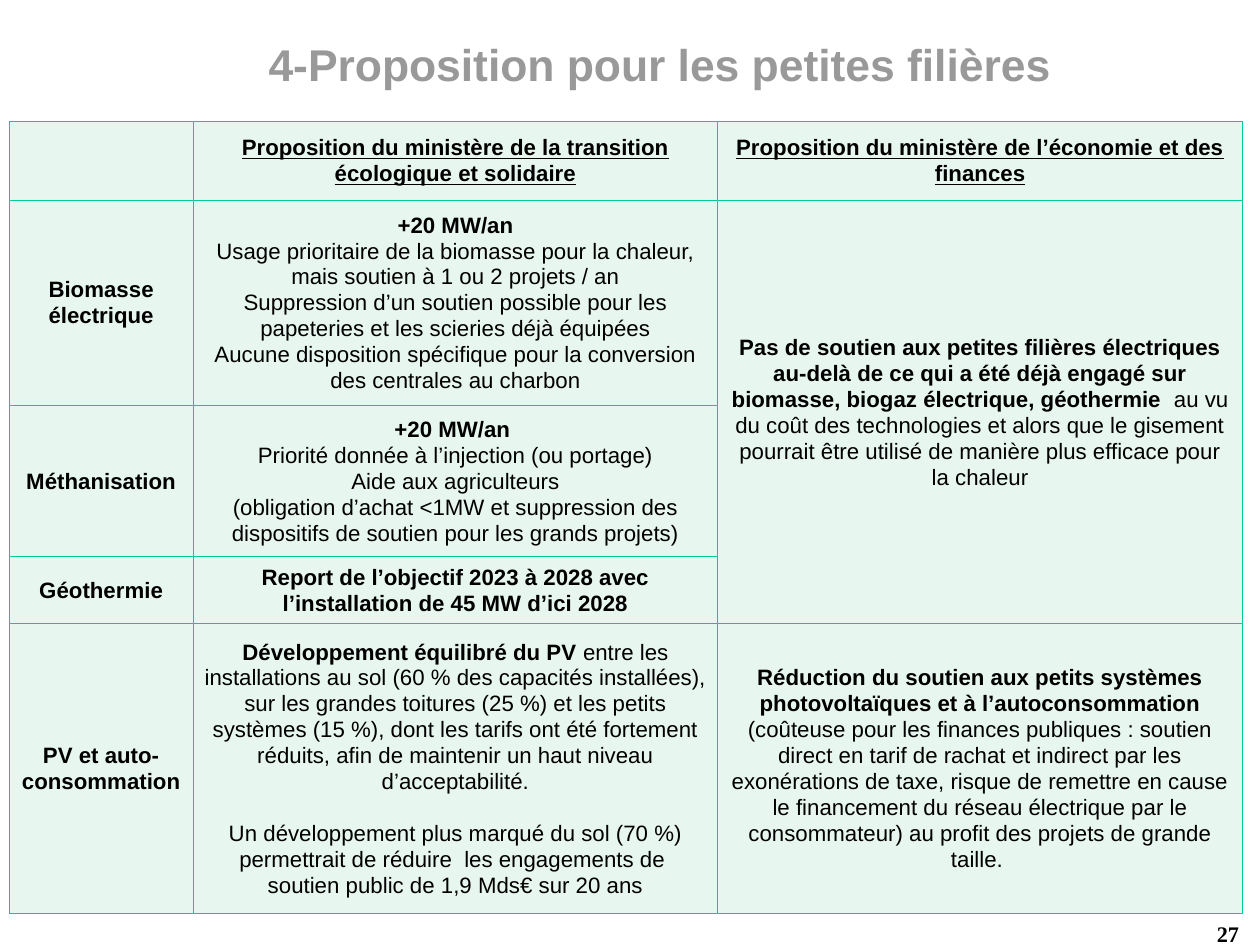
from lxml.etree import SubElement
from pptx import Presentation
from pptx.dml.color import RGBColor
from pptx.enum.text import MSO_ANCHOR as Anchor, PP_ALIGN as Align
from pptx.oxml.ns import qn
from pptx.util import Inches, Pt

# Content: a cell is a list of paragraphs, a paragraph a list of (text, style)
TITLE = "4-Proposition pour les petites filières"
PAGE_NUMBER = "27"
ROWS = [
    [
        [],
        [[("Proposition du ministère de la transition écologique et solidaire", "header")]],
        [[("Proposition du ministère de l’économie et des finances", "header")]],
    ],
    [
        [[("Biomasse électrique", "strong")]],
        [
            [("+20 MW/an", "strong")],
            [("Usage prioritaire de la biomasse pour la chaleur, mais soutien à 1 ou 2 projets / an", "body")],
            [("Suppression d’un soutien possible pour les papeteries et les scieries déjà équipées", "body")],
            [("Aucune disposition spécifique pour la conversion des centrales au charbon", "body")],
        ],
        [[
            ("Pas de soutien aux petites filières électriques au-delà de ce qui a été déjà engagé "
             "sur biomasse, biogaz électrique, géothermie ", "strong"),
            (" au vu du coût des technologies et alors que le gisement pourrait être utilisé "
             "de manière plus efficace pour la chaleur", "body"),
        ]],
    ],
    [
        [[("Méthanisation", "strong")]],
        [
            [("+20 MW/an ", "strong")],
            [("Priorité donnée à l’injection (ou portage)", "body")],
            [("Aide aux agriculteurs", "body")],
            [("(obligation d’achat <1MW et suppression des dispositifs de soutien "
              "pour les grands projets)", "body")],
        ],
        [],
    ],
    [
        [[("Géothermie", "strong")]],
        [[("Report de l’objectif 2023 à 2028 avec l’installation de 45 MW d’ici 2028", "strong")]],
        [],
    ],
    [
        [[("PV et auto-consommation", "strong")]],
        [
            [("Développement équilibré du PV ", "strong"),
             ("entre les installations au sol (60 % des capacités installées), sur les grandes "
              "toitures (25 %) et les petits systèmes (15 %), dont les tarifs ont été fortement "
              "réduits, afin de maintenir un haut niveau d’acceptabilité.", "body")],
            [("Un développement plus marqué du sol (70 %) permettrait de réduire  les engagements "
              "de  soutien public de 1,9 Mds€ sur 20 ans", "body")],
        ],
        [[
            ("Réduction du soutien aux petits systèmes photovoltaïques "
             "et à l’autoconsommation ", "strong"),
            ("(coûteuse pour les finances publiques : soutien direct en tarif de rachat et indirect "
             "par les exonérations de taxe, risque de remettre en cause le financement du réseau "
             "électrique par le consommateur) au profit des projets de grande taille. ", "body"),
        ]],
    ],
]
MERGED = ((1, 2), (3, 2))
GAP_BEFORE = {(4, 1, 1): 16}  # row, column, paragraph: points

# Theme
THEME = {
    "cell_fill": "E7F6EF",
    "border": "00CC99",
    "border_width": 0.45,
    "line_spacing": 1.04,
    "title": {"name": "Arial", "size": 28, "bold": True, "color": "999999"},
    "page": {"name": "Times New Roman", "size": 14, "bold": True, "color": "000000"},
    "body": {"name": "Arial", "size": 14, "bold": False, "color": "000000"},
}
THEME["strong"] = THEME["body"] | {"bold": True}
THEME["header"] = THEME["strong"] | {"underline": True}

# Layout: the page measures 28 by 21 cm
CM_PER_INCH = 2.54
SLIDE_WIDTH, SLIDE_HEIGHT = 28 / CM_PER_INCH, 21 / CM_PER_INCH
COLUMN_WIDTHS = [1.61, 4.59, 4.59]
ROW_HEIGHTS = [0.69, 1.79, 1.32, 0.59, 2.53]
TABLE_LEFT, TABLE_TOP = 0.08, 1.06


def add_run(paragraph, text, style):
    run = paragraph.add_run()
    run.text = text
    for name, value in THEME[style].items():
        if name == "color":
            run.font.color.rgb = RGBColor.from_string(value)
        else:
            setattr(run.font, name, Pt(value) if name == "size" else value)


def add_text(slide, box, text, style, alignment, frame_format, spacing=None):
    frame = slide.shapes.add_textbox(*map(Inches, box)).text_frame
    margins = dict.fromkeys(("margin_left", "margin_right", "margin_top", "margin_bottom"), 0)
    for name, value in (margins | {"word_wrap": True} | frame_format).items():
        setattr(frame, name, value)
    paragraph = frame.paragraphs[0]
    paragraph.alignment, paragraph.line_spacing = alignment, spacing
    add_run(paragraph, text, style)


def format_cell(cell):
    properties = cell._tc.get_or_add_tcPr()
    for side in ("a:lnL", "a:lnR", "a:lnT", "a:lnB"):
        line = SubElement(properties, qn(side), w=str(int(Pt(THEME["border_width"]))))
        SubElement(SubElement(line, qn("a:solidFill")), qn("a:srgbClr"), val=THEME["border"])
    cell.fill.solid()
    cell.fill.fore_color.rgb = RGBColor.from_string(THEME["cell_fill"])
    cell_format = {
        "vertical_anchor": Anchor.MIDDLE,
        "margin_left": Inches(0.1), "margin_right": Inches(0.1),
        "margin_top": Inches(0.05), "margin_bottom": Inches(0.05),
    }
    for name, value in cell_format.items():
        setattr(cell, name, value)


def add_proposal_table(slide):
    table = slide.shapes.add_table(
        len(ROW_HEIGHTS), len(COLUMN_WIDTHS), Inches(TABLE_LEFT), Inches(TABLE_TOP),
        Inches(sum(COLUMN_WIDTHS)), Inches(sum(ROW_HEIGHTS))).table
    table.first_row = table.horz_banding = False
    for column, width in zip(table.columns, COLUMN_WIDTHS):
        column.width = Inches(width)
    for row, height in zip(table.rows, ROW_HEIGHTS):
        row.height = Inches(height)
    for r, row in enumerate(ROWS):
        for c, paragraphs in enumerate(row):
            cell = table.cell(r, c)
            format_cell(cell)
            frame = cell.text_frame
            for p, runs in enumerate(paragraphs):
                paragraph = frame.add_paragraph() if p else frame.paragraphs[0]
                paragraph.alignment = Align.CENTER
                paragraph.line_spacing = THEME["line_spacing"]
                paragraph.space_before = Pt(GAP_BEFORE.get((r, c, p), 0))
                for text, style in runs:
                    add_run(paragraph, text, style)
    first, last = MERGED
    table.cell(*first).merge(table.cell(*last))


def main():
    presentation = Presentation()
    presentation.slide_width = Inches(SLIDE_WIDTH)
    presentation.slide_height = Inches(SLIDE_HEIGHT)
    slide = presentation.slides.add_slide(presentation.slide_layouts[6])

    # Title, table, page number
    add_text(slide, (0.99, 0.28, 9.56, 0.57), TITLE, "title", Align.CENTER,
             {"vertical_anchor": Anchor.MIDDLE, "margin_top": Inches(0.04)}, 0.93)
    add_proposal_table(slide)
    add_text(slide, (9.76, 8.05, 1.08, 0.28), PAGE_NUMBER, "page", Align.RIGHT,
             {"vertical_anchor": Anchor.TOP})
    presentation.save("out.pptx")


if __name__ == "__main__":
    main()
